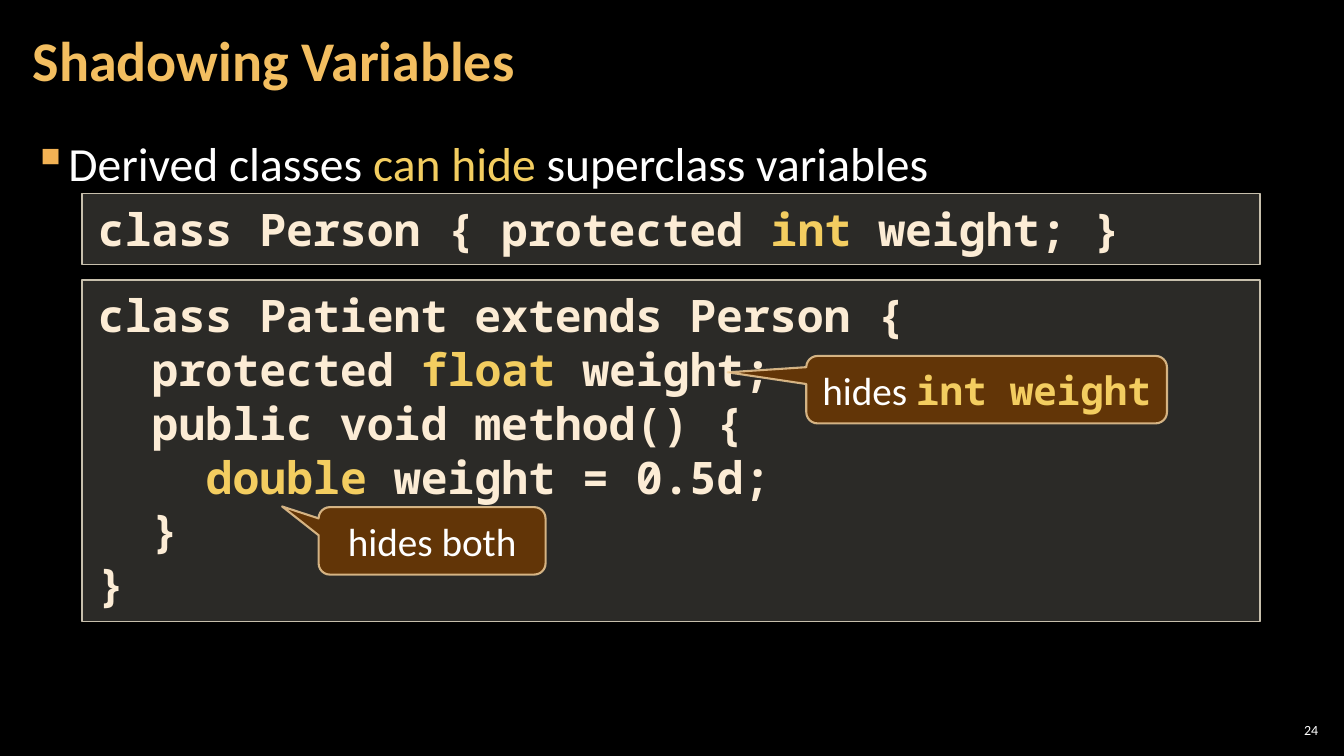
"""Builds the slide on shadowing variables in derived classes."""
from lxml.etree import SubElement
from pptx import Presentation
from pptx.dml.color import RGBColor
from pptx.enum.shapes import MSO_SHAPE as Shape
from pptx.enum.text import MSO_ANCHOR as Anchor, MSO_AUTO_SIZE as AutoSize, PP_ALIGN as Align
from pptx.oxml.ns import qn
from pptx.util import Cm, Pt

BLACK = RGBColor(0x00, 0x00, 0x00)
WHITE = RGBColor(0xFF, 0xFF, 0xFF)
TITLE_GOLD = RGBColor(0xF3, 0xBE, 0x60)
BULLET_ORANGE = RGBColor(0xF2, 0xB2, 0x54)
KEYWORD_YELLOW = RGBColor(0xF3, 0xCD, 0x60)
CODE_CREAM = RGBColor(0xFC, 0xEC, 0xD5)
CODE_FILL = RGBColor(0xD9, 0xD5, 0xC7)
CODE_BORDER = RGBColor(0xC7, 0xBF, 0xAC)
CALLOUT_FILL = RGBColor(0x66, 0x36, 0x06)
CALLOUT_BORDER = RGBColor(0xF8, 0xD4, 0x9E)
TEXT_FONT, CODE_FONT = "Calibri", "Noto Sans Mono"

PERSON_CODE = ["class Person { protected *int* weight; }"]
PATIENT_CODE = [
    "class Patient extends Person {",
    "  protected *float* weight;",
    "  public void method() {",
    "    *double* weight = 0.5d;",
    "  }",
    "}",
]


def set_font(font, name, size, color, bold=False):
    """Set the face, size, colour and weight of a font."""
    font.name, font.size, font.bold = name, Pt(size), bold
    font.color.rgb = color


def add_marked_runs(paragraph, marked, color):
    """Add runs to a paragraph, with the words between asterisks in yellow."""
    runs = []
    for index, words in enumerate(marked.split("*")):
        if words:
            run = paragraph.add_run()
            run.text = words
            run.font.color.rgb = KEYWORD_YELLOW if index % 2 else color
            runs.append(run)
    return runs


def set_insets(frame, side, end):
    """Set the side and end margins of a wrapping text frame."""
    frame.word_wrap = True
    frame.margin_left = frame.margin_right = Cm(side)
    frame.margin_top = frame.margin_bottom = Cm(end)


def set_opacity(color_format_parent, percent):
    """Make a solid fill partly transparent."""
    color = color_format_parent.find(".//" + qn("a:srgbClr"))
    SubElement(color, qn("a:alpha"), val=str(percent * 1000))


def add_panel(slide, kind, box, fill, opacity, border, width):
    """Add a filled and outlined shape without a shadow."""
    panel = slide.shapes.add_shape(kind, *map(Cm, box))
    panel.shadow.inherit = False
    panel.fill.solid()
    panel.fill.fore_color.rgb = fill
    set_opacity(panel.fill._xPr.find(qn("a:solidFill")), opacity)
    panel.line.color.rgb = border
    panel.line.width = Pt(width)
    return panel


def add_label(slide, box, side, end, anchor):
    """Add a text box and return its frame and first paragraph."""
    frame = slide.shapes.add_textbox(*map(Cm, box)).text_frame
    set_insets(frame, side, end)
    frame.vertical_anchor = anchor
    return frame.paragraphs[0]


def add_title(slide, box, words):
    """Add the slide title."""
    title = add_label(slide, box, 0.3, 0.1, Anchor.MIDDLE)
    title.text = words
    title.line_spacing = Pt(40)
    set_font(title.font, TEXT_FONT, 40, TITLE_GOLD, True)


def add_statement(slide, box, marked):
    """Add the bulleted statement."""
    statement = add_label(slide, box, 0.3, 0.1, Anchor.TOP)
    properties = statement._p.get_or_add_pPr()
    properties.set("marL", str(Cm(0.84)))
    properties.set("indent", str(-Cm(0.84)))
    bullet_color = SubElement(properties, qn("a:buClr"))
    SubElement(bullet_color, qn("a:srgbClr"), val=str(BULLET_ORANGE))
    SubElement(properties, qn("a:buChar"), char="▪")
    statement.line_spacing = 1.05
    statement.space_after = Pt(6)
    set_font(statement.font, TEXT_FONT, 34, WHITE)
    add_marked_runs(statement, marked, WHITE)


def add_code(slide, box, lines):
    """Add a code panel with one paragraph per line."""
    panel = add_panel(slide, Shape.RECTANGLE, box, CODE_FILL, 20, CODE_BORDER, 1)
    frame = panel.text_frame
    set_insets(frame, 0.4, 0.2)
    frame.vertical_anchor = Anchor.TOP
    frame.auto_size = AutoSize.SHAPE_TO_FIT_TEXT
    for index, line in enumerate(lines):
        paragraph = frame.add_paragraph() if index else frame.paragraphs[0]
        paragraph.alignment = Align.LEFT
        set_font(paragraph.font, CODE_FONT, 32, CODE_CREAM, True)
        add_marked_runs(paragraph, line, CODE_CREAM)


def add_callout(slide, box, tip, marked):
    """Add a callout whose tip is given relative to its centre and size."""
    callout = add_panel(slide, Shape.ROUNDED_RECTANGULAR_CALLOUT, box,
                        CALLOUT_FILL, 95, CALLOUT_BORDER, 1.5)
    set_opacity(callout.line.fill._xPr.find(qn("a:solidFill")), 80)
    callout.adjustments[0], callout.adjustments[1] = tip
    callout.text_frame.word_wrap = True
    callout.text_frame.vertical_anchor = Anchor.MIDDLE
    remark = callout.text_frame.paragraphs[0]
    remark.alignment = Align.CENTER
    set_font(remark.font, TEXT_FONT, 28, WHITE)
    for code in add_marked_runs(remark, marked, WHITE)[1:]:
        code.font.name, code.font.bold = CODE_FONT, True


def add_page_number(slide, box, number):
    """Add the page number."""
    page = add_label(slide, box, 0.1, 0.1, Anchor.MIDDLE)
    page.text = number
    page.alignment = Align.RIGHT
    set_font(page.font, TEXT_FONT, 10, WHITE)


def main():
    """Build and save the presentation."""
    deck = Presentation()
    deck.slide_width, deck.slide_height = Cm(33.87), Cm(19.05)
    slide = deck.slides.add_slide(deck.slide_layouts[6])
    slide.background.fill.solid()
    slide.background.fill.fore_color.rgb = BLACK

    add_statement(slide, (0.53, 3.2, 32.79, 15.47),
                  "Derived classes *can hide* superclass variables")
    add_code(slide, (2.07, 7.06, 29.69, 8.61), PATIENT_CODE)
    add_title(slide, (0.53, 0.1, 26.59, 3.07), "Shadowing Variables")
    add_page_number(slide, (32.13, 18.14, 1.19, 0.53), "24")
    add_code(slide, (2.07, 4.88, 29.69, 1.78), PERSON_CODE)
    add_callout(slide, (20.32, 8.97, 9.09, 1.7), (-0.718, -0.257), "hides *int weight*")
    add_callout(slide, (8.03, 12.78, 5.72, 1.7), (-0.661, -0.51), "hides both")
    deck.save("out.pptx")


if __name__ == "__main__":
    main()
